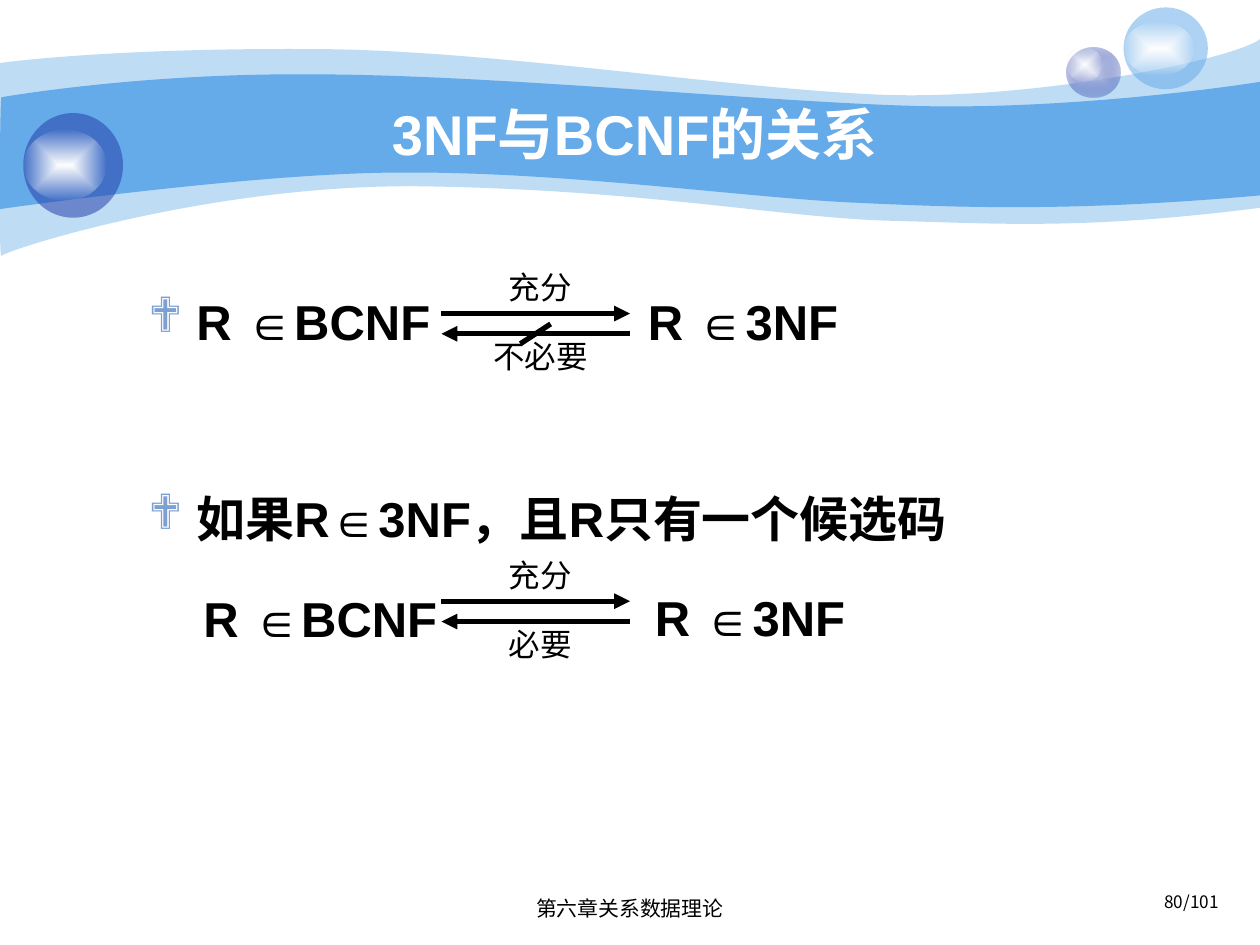
from lxml import etree
from pptx import Presentation
from pptx.dml.color import RGBColor
from pptx.enum.shapes import MSO_CONNECTOR, MSO_SHAPE
from pptx.enum.text import MSO_ANCHOR, PP_ALIGN
from pptx.oxml.ns import qn
from pptx.util import Cm, Pt

OVAL = MSO_SHAPE.OVAL
STRAIGHT = MSO_CONNECTOR.STRAIGHT
LEFT, CENTER, RIGHT = PP_ALIGN.LEFT, PP_ALIGN.CENTER, PP_ALIGN.RIGHT
TOP, MIDDLE = MSO_ANCHOR.TOP, MSO_ANCHOR.MIDDLE
BLUE, NAVY, WHITE, BLACK = "65AAE9", "233DA9", "FFFFFF", "000000"


def rgb(color):
    return RGBColor.from_string(color)


def add_text(box, lines, size, color=BLACK, bold=False, align=CENTER,
             anchor=TOP, font="Arial", wrap=True, spacing=1.0):
    tf = s.shapes.add_textbox(*[Cm(v) for v in box]).text_frame
    tf.word_wrap = wrap
    tf.vertical_anchor = anchor
    tf.text = "\n".join(lines)
    for p in tf.paragraphs:
        p.alignment = align
        p.line_spacing = spacing
        for r in p.runs:
            r.font.name = font
            r.font.size = Pt(size)
            r.font.bold = bold
            r.font.color.rgb = rgb(color)
    return tf


prs = Presentation()
prs.slide_width, prs.slide_height = Cm(25.4), Cm(19.05)
s = prs.slides.add_slide(prs.slide_layouts[6])

bands = [
    (41, (0, 1.27), [
        (0.61, 1.19, 2.72, 0.97, 6.27, 0.99),
        (9.8, 0.99, 14.6, 1.78, 17.75, 1.91),
        (20.88, 2.03, 24.89, 1.19, 25.4, 0.79),
        (25.4, 4.19),
        (21.79, 4.65, 19.99, 4.5, 17.91, 4.45),
        (15.8, 4.39, 13.08, 3.84, 8.71, 3.76),
        (4.37, 3.66, 0.1, 5.05, 0.03, 5.16),
        (-0.03, 5.28, 0, 1.9, 0, 1.27)]),
    (100, (0.03, 1.96), [
        (0.05, 1.96, 2.79, 1.47, 6.3, 1.5),
        (9.8, 1.5, 15.11, 2.03, 18.24, 2.13),
        (21.36, 2.24, 24.79, 1.75, 25.4, 1.65),
        (25.4, 3.94),
        (21.67, 4.27, 19.43, 4.19, 17.32, 4.09),
        (15.21, 4.01, 11.35, 3.45, 8.05, 3.48),
        (5.16, 3.48, -0.05, 4.22, -0.03, 4.22),
        (0, 4.22, 0, 1.96, 0.03, 1.96)]),
]
for alpha, start, curves in bands:
    builder = s.shapes.build_freeform(Cm(start[0]), Cm(start[1]))
    builder.add_line_segments([(Cm(c[-2]), Cm(c[-1])) for c in curves])
    sp = builder.convert_to_shape()
    sp.shadow.inherit = False
    sp.line.fill.background()
    sp.fill.solid()
    sp.fill.fore_color.rgb = rgb(BLUE)
    spPr = sp._element.spPr
    clr = next(spPr.iter(qn("a:srgbClr")))
    etree.SubElement(clr, qn("a:alpha"), val=str(alpha * 1000))
    for seg, curve in zip(list(spPr.iter(qn("a:lnTo"))), curves):
        if len(curve) == 6:
            bez = etree.Element(qn("a:cubicBezTo"))
            for x, y in zip(curve[::2], curve[1::2]):
                etree.SubElement(bez, qn("a:pt"), x=str(Cm(x) - sp.left),
                                 y=str(Cm(y) - sp.top))
            seg.getparent().replace(seg, bez)

shine = [(WHITE, 100), (WHITE, 0)]
bubbles = [
    ((21.51, 0.95, 1.07, 1.02), [("C7CEE9", 100), (NAVY, 31)]),
    ((21.51, 0.95, 0.71, 0.69), shine),
    ((22.65, 0.15, 1.7, 1.65), [(BLUE, 53)]),
    ((22.65, 0.43, 1.42, 1.09), shine),
    ((0.47, 2.28, 2.01, 2.11), [(NAVY, 53)]),
    ((0.47, 2.62, 1.68, 1.42), shine),
]
for box, stops in bubbles:
    sp = s.shapes.add_shape(OVAL, *[Cm(v) for v in box])
    sp.shadow.inherit = False
    sp.line.fill.background()
    spPr = sp._element.spPr
    if len(stops) == 1:
        sp.fill.solid()
        sp.fill.fore_color.rgb = rgb(stops[0][0])
    else:
        sp.fill.gradient()
        for stop, (color, _) in zip(sp.fill.gradient_stops, stops):
            stop.color.rgb = rgb(color)
        lin = next(spPr.iter(qn("a:lin")))
        grad = lin.getparent()
        grad.remove(lin)
        shade = etree.SubElement(grad, qn("a:path"), path="rect")
        etree.SubElement(shade, qn("a:fillToRect"),
                         l="50000", t="50000", r="50000", b="50000")
    for clr, (_, alpha) in zip(spPr.iter(qn("a:srgbClr")), stops):
        for old in list(clr):
            clr.remove(old)
        etree.SubElement(clr, qn("a:alpha"), val=str(alpha * 1000))

add_text((18.9, 17.93, 5.92, 0.74), ["80/101"], 9.8, align=RIGHT,
         font="Noto Sans CJK SC", spacing=0.8)
add_text((8.67, 17.93, 8.05, 0.81), ["第六章关系数据理论"], 11.9)
add_text((2.54, 1.9, 20.52, 1.57), ["3NF与BCNF的关系"], 32, WHITE, True,
         anchor=MIDDLE)

tf = add_text((2.74, 5.28, 21.59, 11.43),
              ["R ∈BCNF", "如果R∈3NF，且R只有一个候选码", "R ∈BCNF"],
              28, bold=True, align=LEFT)
layout = [(0.97, True, 1.4, 0), (0.97, True, 1.5, 62), (1.11, False, 1.5, 7)]
for p, (margin, bullet, spacing, before) in zip(tf.paragraphs, layout):
    p.line_spacing = spacing
    p.space_before = Pt(before)
    pPr = p._p.get_or_add_pPr()
    pPr.set("marL", str(Cm(margin)))
    pPr.set("indent", str(-Cm(margin) if bullet else 0))
    if bullet:
        bu = etree.SubElement(pPr, qn("a:buClr"))
        etree.SubElement(bu, qn("a:srgbClr"), val="7DA0D3")
        etree.SubElement(pPr, qn("a:buFont"), typeface="Wingdings")
        etree.SubElement(pPr, qn("a:buChar"), char="❖")
for left, top in [(12.81, 5.28), (12.95, 11.25)]:
    add_text((left, top, 5.5, 1.9), ["R ∈3NF"], 28, bold=True, align=LEFT,
             spacing=1.4)

x1, x2 = 8.9, 12.7
lines = []
for y, below in [(6.32, "不必要"), (12.12, "必要")]:
    lines += [(x1, y, x2, y, True), (x2, y + 0.41, x1, y + 0.41, True)]
    for top, label in [(y - 0.79, "充分"), (y + 0.6, below)]:
        add_text((x1, top, 3.99, 0.61), [label], 18, anchor=MIDDLE,
                 wrap=False, spacing=0.9)
lines.append((11.1, 6.53, 10.49, 6.93, False))
for *ends, arrow in lines:
    cx = s.shapes.add_connector(STRAIGHT, *[Cm(v) for v in ends])
    cx.line.color.rgb = rgb(BLACK)
    cx.line.width = Pt(3)
    if arrow:
        etree.SubElement(cx.line._get_or_add_ln(), qn("a:tailEnd"),
                         type="triangle")
    etree.SubElement(cx._element.spPr, qn("a:effectLst"))

prs.save("out.pptx")
